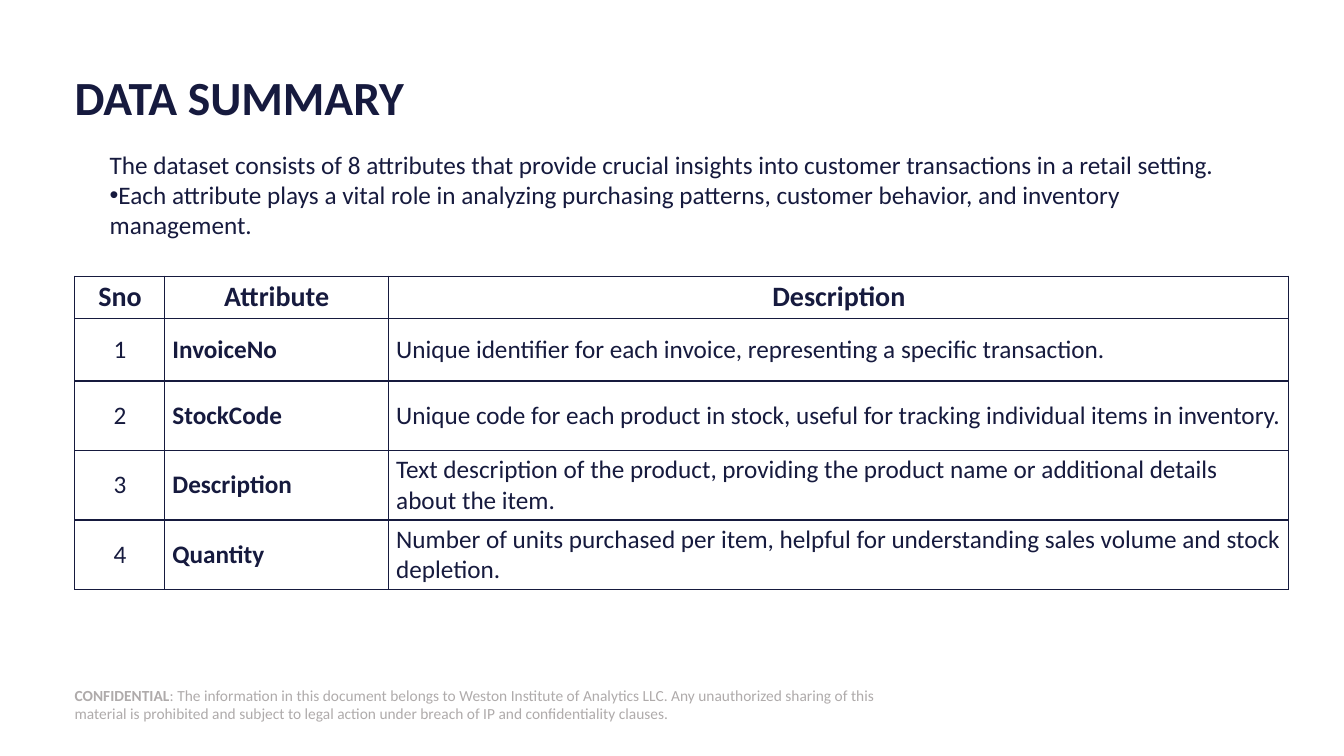
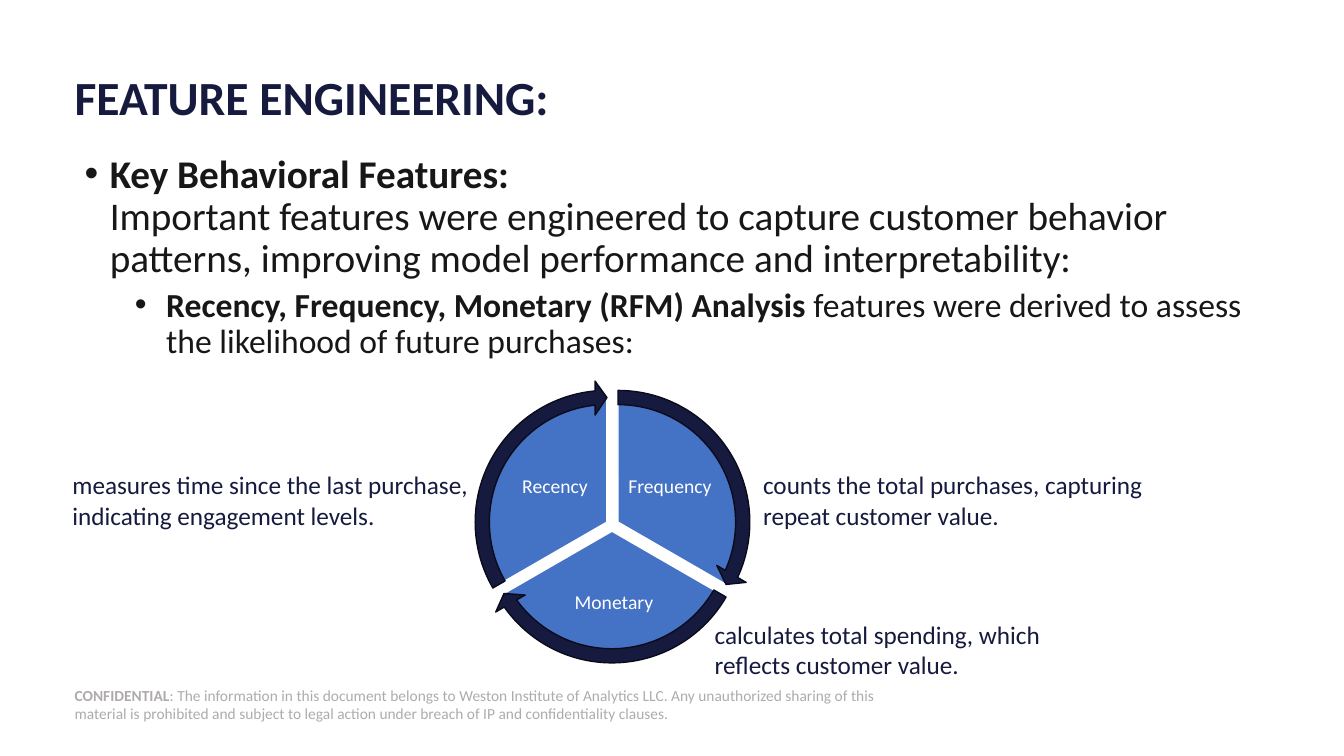
from dataclasses import dataclass
from typing import Optional

from lxml.etree import SubElement
from pptx import Presentation
from pptx.dml.color import RGBColor
from pptx.enum.shapes import MSO_SHAPE
from pptx.enum.text import MSO_ANCHOR, PP_ALIGN
from pptx.oxml import parse_xml
from pptx.oxml.ns import nsdecls, qn
from pptx.util import Inches, Pt

COLORS = {
    "navy": "161A3E",
    "arrow_edge": "0A0B1B",
    "body": "181717",
    "footer": "AFABAB",
    "pie": "4472C4",
    "white": "FFFFFF",
}
FONT = "Calibri"
LEFT = 0.74
ADJUST_PER_DEGREE = 0.6
FOOTER = (
    "**CONFIDENTIAL**: The information in this document belongs to Weston Institute of Analytics LLC. "
    "Any unauthorized sharing of this material is prohibited and subject to legal action under breach "
    "of IP and confidentiality clauses."
)

COLUMN_WIDTHS = (0.89, 2.22, 8.93)
ROW_HEIGHTS = (0.42, 0.62, 0.69, 0.69, 0.69)
HEADINGS = ("Sno", "Attribute", "Description")
ATTRIBUTES = (
    ("InvoiceNo", "Unique identifier for each invoice, representing a specific transaction."),
    ("StockCode", "Unique code for each product in stock, useful for tracking individual items in inventory."),
    ("Description", "Text description of the product, providing the product name or additional details about the item."),
    ("Quantity", "Number of units purchased per item, helpful for understanding sales volume and stock depletion."),
)


@dataclass(frozen=True)
class Area:
    left: float
    top: float
    width: float
    height: float

    def lengths(self) -> tuple:
        return tuple(Inches(value) for value in (self.left, self.top, self.width, self.height))


@dataclass(frozen=True)
class Segment:
    label: str
    label_area: Area
    left: float
    top: float
    start: int
    note: str
    note_area: Area
    note_margin: float = 0


PIE_SIZE, ARROW_SIZE = 2.5, 2.81
SWEEP = 120
ARROW_HEAD = 5.46
SEGMENTS = (
    Segment("Frequency", Area(6.2, 4.46, 0.89, 0.75), 4.88, 3.93, 270,
            "counts the total purchases, capturing repeat customer value.", Area(7.47, 4.61, 4.17, 0.71)),
    Segment("Monetary", Area(5.42, 5.65, 1.34, 0.66), 4.82, 4.02, 30,
            "calculates total spending, which reflects customer value.", Area(5.99, 6.09, 4.47, 0.71), 1),
    Segment("Recency", Area(5.06, 4.46, 0.89, 0.75), 4.77, 3.93, 150,
            "measures time since the last purchase, indicating engagement levels.", Area(0.62, 4.61, 4.37, 0.71)),
)


def color(name: str) -> RGBColor:
    return RGBColor.from_string(COLORS[name])


def write(frame, text: str, *, size: float = 18, ink: str = "navy", bold: bool = False,
          align=PP_ALIGN.LEFT, spacing: Optional[float] = None, before: float = 0,
          margin: float = 0, indent: float = 0, bullet: bool = False) -> None:
    """Add one paragraph; ** switches bold and a newline breaks the line."""
    para = frame.paragraphs[0]
    if para.runs:
        para = frame.add_paragraph()
    para.alignment = align
    para.space_before = Pt(before)
    if spacing:
        para.line_spacing = spacing
    properties = para._p.get_or_add_pPr()
    properties.set("marL", str(Inches(margin)))
    properties.set("indent", str(Inches(indent)))
    if bullet:
        SubElement(properties, qn("a:buFont")).set("typeface", "Arial")
        SubElement(properties, qn("a:buChar")).set("char", "•")
    for part, piece in enumerate(text.split("**")):
        for number, line in enumerate(piece.split("\n")):
            if number:
                para.add_line_break()
            if line:
                span = para.add_run()
                span.text = line
                span.font.name = FONT
                span.font.size = Pt(size)
                span.font.bold = bold or part % 2 == 1
                span.font.color.rgb = color(ink)


def set_frame(frame, inset: Optional[float] = None, anchor=MSO_ANCHOR.TOP):
    frame.word_wrap = True
    frame.vertical_anchor = anchor
    if inset is not None:
        frame.margin_left = frame.margin_right = Inches(inset)
        frame.margin_top = frame.margin_bottom = Inches(inset)
    return frame


def add_box(page, area: Area, *, inset: Optional[float] = None, anchor=MSO_ANCHOR.TOP):
    """Add a wrapping text box and return its text frame."""
    return set_frame(page.shapes.add_textbox(*area.lengths()).text_frame, inset, anchor)


def add_preset(page, preset, area: Area, fill: str, edge: Optional[str] = None, adjustments: tuple = ()):
    shape = page.shapes.add_shape(preset, *area.lengths())
    shape.shadow.inherit = False
    for index, value in enumerate(adjustments):
        shape.adjustments[index] = value
    shape.fill.solid()
    shape.fill.fore_color.rgb = color(fill)
    if edge:
        shape.line.color.rgb = color(edge)
        shape.line.width = Pt(1)
    else:
        shape.line.fill.background()
    return shape


def add_page(deck, title: str):
    """Add a blank page with the shared footer and title."""
    page = deck.slides.add_slide(deck.slide_layouts[6])
    band = add_preset(page, MSO_SHAPE.RECTANGLE, Area(LEFT, 6.79, 8.17, 0.4), "white")
    write(set_frame(band.text_frame, 0, MSO_ANCHOR.MIDDLE), FOOTER, size=11, ink="footer")
    heading = add_box(page, Area(LEFT, 0.66, 11.85, 0.67), inset=0, anchor=MSO_ANCHOR.MIDDLE)
    write(heading, title, size=34, bold=True, spacing=0.9)
    return page


def style_cell(cell) -> None:
    """Clear the fill, set the margins and draw all four borders."""
    cell.fill.background()
    cell.vertical_anchor = MSO_ANCHOR.MIDDLE
    cell.margin_left, cell.margin_right = Inches(0.08), Inches(0.07)
    cell.margin_top = cell.margin_bottom = Inches(0.04)
    properties = cell._tc.get_or_add_tcPr()
    for index, side in enumerate(("lnL", "lnR", "lnT", "lnB")):
        properties.insert(index, parse_xml(
            f'<a:{side} {nsdecls("a")} w="{Pt(1)}"><a:solidFill>'
            f'<a:srgbClr val="{COLORS["navy"]}"/></a:solidFill></a:{side}>'))


def add_attribute_table(page) -> None:
    rows = [HEADINGS] + [(str(number), *entry) for number, entry in enumerate(ATTRIBUTES, 1)]
    area = Area(LEFT, 2.74, sum(COLUMN_WIDTHS), sum(ROW_HEIGHTS))
    table = page.shapes.add_table(len(rows), len(COLUMN_WIDTHS), *area.lengths()).table
    table.first_row = table.horz_banding = False
    for column, width in zip(table.columns, COLUMN_WIDTHS):
        column.width = Inches(width)
    for row_index, row in enumerate(rows):
        header = row_index == 0
        table.rows[row_index].height = Inches(ROW_HEIGHTS[row_index])
        for column_index, text in enumerate(row):
            cell = table.cell(row_index, column_index)
            style_cell(cell)
            centred = header or column_index == 0
            write(cell.text_frame, text, size=20 if header else 18,
                  bold=header or column_index == 1,
                  align=PP_ALIGN.CENTER if centred else PP_ALIGN.LEFT)


def add_cycle(page) -> None:
    """Draw the three pie segments, the arrows around them and their notes."""
    for segment in SEGMENTS:
        end = (segment.start + SWEEP) % 360
        add_preset(page, MSO_SHAPE.PIE, Area(segment.left, segment.top, PIE_SIZE, PIE_SIZE), "pie", "white",
                   (segment.start * ADJUST_PER_DEGREE, end * ADJUST_PER_DEGREE))
        label = add_box(page, segment.label_area, inset=0.02, anchor=MSO_ANCHOR.MIDDLE)
        write(label, segment.label, size=14, ink="white", align=PP_ALIGN.CENTER, spacing=0.9)
    overhang = (ARROW_SIZE - PIE_SIZE) / 2
    for segment in SEGMENTS:
        end = (segment.start + SWEEP) % 360 - ARROW_HEAD
        angles = tuple(angle * ADJUST_PER_DEGREE for angle in (ARROW_HEAD, end, segment.start))
        area = Area(segment.left - overhang, segment.top - overhang, ARROW_SIZE, ARROW_SIZE)
        add_preset(page, MSO_SHAPE.CIRCULAR_ARROW, area, "navy", "arrow_edge", (0.05, *angles, 0.06))
    for segment in SEGMENTS:
        write(add_box(page, segment.note_area), segment.note, margin=segment.note_margin)


def build_data_summary(deck) -> None:
    page = add_page(deck, "DATA SUMMARY")
    add_attribute_table(page)
    intro = add_box(page, Area(0.99, 1.43, 11.36, 1.01))
    write(intro, "The dataset consists of 8 attributes that provide crucial insights into customer "
                 "transactions in a retail setting.")
    write(intro, "Each attribute plays a vital role in analyzing purchasing patterns, customer behavior, "
                 "and inventory management.", bullet=True)


def build_feature_engineering(deck) -> None:
    page = add_page(deck, "FEATURE ENGINEERING:")
    body = add_box(page, Area(LEFT, 1.48, 11.85, 4.81))
    write(body, "**Key Behavioral Features:**\nImportant features were engineered to capture customer "
                "behavior patterns, improving model performance and interpretability:",
          size=28, ink="body", spacing=0.9, before=10, margin=0.25, indent=-0.25, bullet=True)
    write(body, "**Recency, Frequency, Monetary (RFM) Analysis** features were derived to assess the "
                "likelihood of future purchases:",
          size=24, ink="body", spacing=0.9, before=5, margin=0.81, indent=-0.31, bullet=True)
    add_cycle(page)


def main() -> None:
    deck = Presentation()
    deck.slide_width, deck.slide_height = Inches(13.33), Inches(7.5)
    build_data_summary(deck)
    build_feature_engineering(deck)
    deck.save("out.pptx")


if __name__ == "__main__":
    main()
